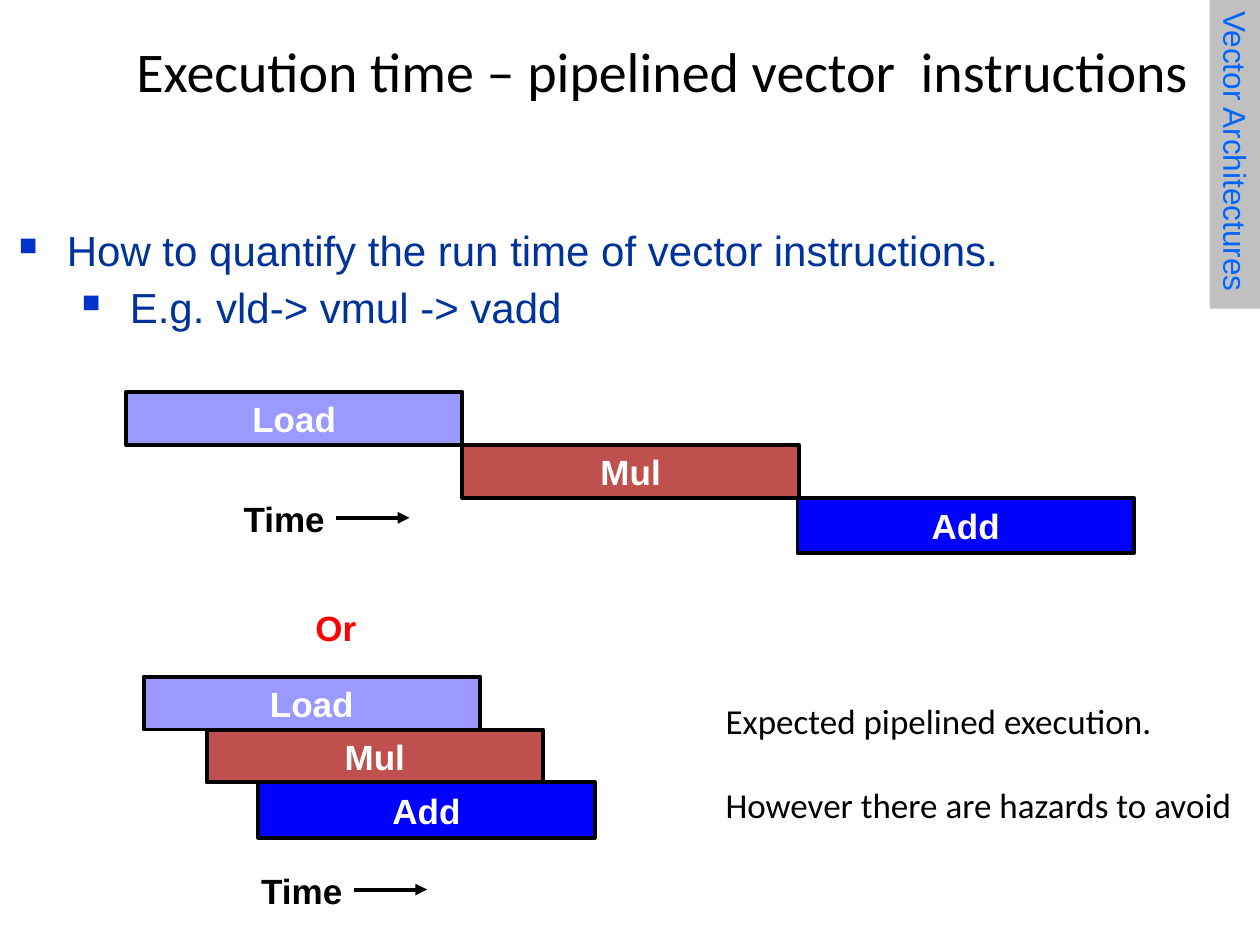
import pptx
import pptx.util
import pptx.dml.color
import pptx.enum.shapes
import pptx.enum.text
import pptx.oxml
import pptx.oxml.ns
import lxml.etree

Inches, Pt = pptx.util.Inches, pptx.util.Pt
RGB = pptx.dml.color.RGBColor.from_string
Align = pptx.enum.text.PP_ALIGN
Anchor = pptx.enum.text.MSO_ANCHOR
Kind = pptx.enum.shapes.MSO_SHAPE
qn = pptx.oxml.ns.qn

# Theme: colours and type styles
theme = {
    "bars": {"Load": "9999FF", "Mul": "C0504D", "Add": "0000FF"},
    "ink": "000000", "side": "C0C0C0", "mark": "0033CC", "edge": Pt(2.25),
    "title": ("000000", {"name": "Calibri", "size": Pt(32)}),
    "body": ("003399", {"name": "Arial", "size": Pt(24)}),
    "tab": ("0066FF", {"name": "Arial", "size": Pt(18)}),
    "bar": ("FFFFFF", {"name": "Arial", "size": Pt(20), "bold": True}),
    "time": ("000000", {"name": "Arial", "size": Pt(20), "bold": True}),
    "or": ("FF0000", {"name": "Arial", "size": Pt(20), "bold": True}),
    "note": ("000000", {"name": "Calibri", "size": Pt(20)}),
}


def write(shape, lines, style, align=Align.LEFT, gap=0, **form):
    """Fill a shape with styled lines; form holds text frame values."""
    frame = shape.text_frame
    for key, val in form.items():
        setattr(frame, key, val)
    color, font = theme[style]
    for i, line in enumerate(lines):
        para = frame.paragraphs[0] if i == 0 else frame.add_paragraph()
        para.alignment = align
        if i:
            para.space_before = Pt(gap)
        run = para.add_run()
        run.text = line
        for key, val in font.items():
            setattr(run.font, key, val)
        run.font.color.rgb = RGB(color)
    return frame


def rect(home, area, fill):
    """Add a plain rectangle without outline or shadow."""
    shape = home.add_shape(Kind.RECTANGLE, *map(Inches, area))
    shape.shadow.inherit = False
    shape.fill.solid()
    shape.fill.fore_color.rgb = RGB(fill)
    shape.line.fill.background()
    return shape


deck = pptx.Presentation()
deck.slide_width, deck.slide_height = Inches(10), Inches(7.5)
slide = deck.slides.add_slide(deck.slide_layouts[6])
shapes = slide.shapes
flush = {"margin_left": 0, "margin_right": 0, "margin_top": 0,
         "margin_bottom": 0, "word_wrap": True}
mid = {"vertical_anchor": Anchor.MIDDLE, "word_wrap": False}

# Title
box = shapes.add_textbox(Inches(0.74), Inches(0.28), Inches(9.04), Inches(0.55))
write(box, ["Execution time – pipelined vector  instructions"], "title",
      Align.CENTER, vertical_anchor=Anchor.MIDDLE, **flush)

# Bulleted question and its example
box = shapes.add_textbox(Inches(0.14), Inches(1.68), Inches(9.41), Inches(0.92))
frame = write(box, ["How to quantify the run time of vector instructions.",
                    "E.g. vld-> vmul -> vadd"], "body", gap=3.9,
              **{**flush, "margin_top": Inches(0.1)})
for level, para in enumerate(frame.paragraphs):
    para.level = level
    props = para._p.get_or_add_pPr()
    props.set("marL", str(Inches(0.39 + 0.5 * level)))
    props.set("indent", str(Inches(-0.38)))
    color = lxml.etree.SubElement(props, qn("a:buClr"))
    lxml.etree.SubElement(color, qn("a:srgbClr"), val=theme["mark"])
    lxml.etree.SubElement(props, qn("a:buSzPct"), val="60000")
    lxml.etree.SubElement(props, qn("a:buChar"), char="■")

# Side tab with turned text
rect(shapes, (9.6, 0, 0.4, 2.45), theme["side"])
box = shapes.add_textbox(Inches(9.64), Inches(0.09), Inches(0.31), Inches(2.25))
frame = write(box, ["Vector Architectures"], "tab", **flush)
frame.paragraphs[0].line_spacing = Pt(20.9)
frame._txBody.bodyPr.set("vert", "vert")

# Two schedules: bar lefts, first top, then place of the time label
plans = [((1, 3.67, 6.33), 3.11, 1.83, 3.9),
         ((1.14, 1.64, 2.05), 5.37, 1.97, 6.85)]
for lefts, top, x, y in plans:
    group = shapes.add_group_shape().shapes
    for row, (name, fill) in enumerate(theme["bars"].items()):
        high = 0.44 if name == "Add" else 0.42
        bar = rect(group, (lefts[row], top + 0.42 * row, 2.67, high), fill)
        bar.line.color.rgb = RGB(theme["ink"])
        bar.line.width = theme["edge"]
        write(bar, [name], "bar", Align.CENTER, **mid)

    # Time label and arrow
    box = shapes.add_textbox(Inches(x), Inches(y), Inches(0.85), Inches(0.43))
    write(box, ["Time"], "time", Align.CENTER, **mid)
    arrow = shapes.add_connector(
        pptx.enum.shapes.MSO_CONNECTOR.STRAIGHT, Inches(x + 0.84),
        Inches(y + 0.21), Inches(x + 1.42), Inches(y + 0.21))
    arrow.line.color.rgb = RGB(theme["ink"])
    arrow.line.width = theme["edge"]
    lxml.etree.SubElement(arrow.line._get_or_add_ln(), qn("a:tailEnd"),
                          type="triangle")
    lxml.etree.SubElement(arrow._element.spPr, qn("a:effectLst"))

# Link word and closing notes
box = shapes.add_textbox(Inches(2.4), Inches(4.76), Inches(0.53), Inches(0.44))
write(box, ["Or"], "or", Align.CENTER, **mid)
box = shapes.add_textbox(Inches(5.66), Inches(5.5), Inches(4.25), Inches(1.11))
write(box, ["Expected pipelined execution.",
            "However there are hazards to avoid"], "note", gap=24.4,
      word_wrap=False)

deck.save("out.pptx")
